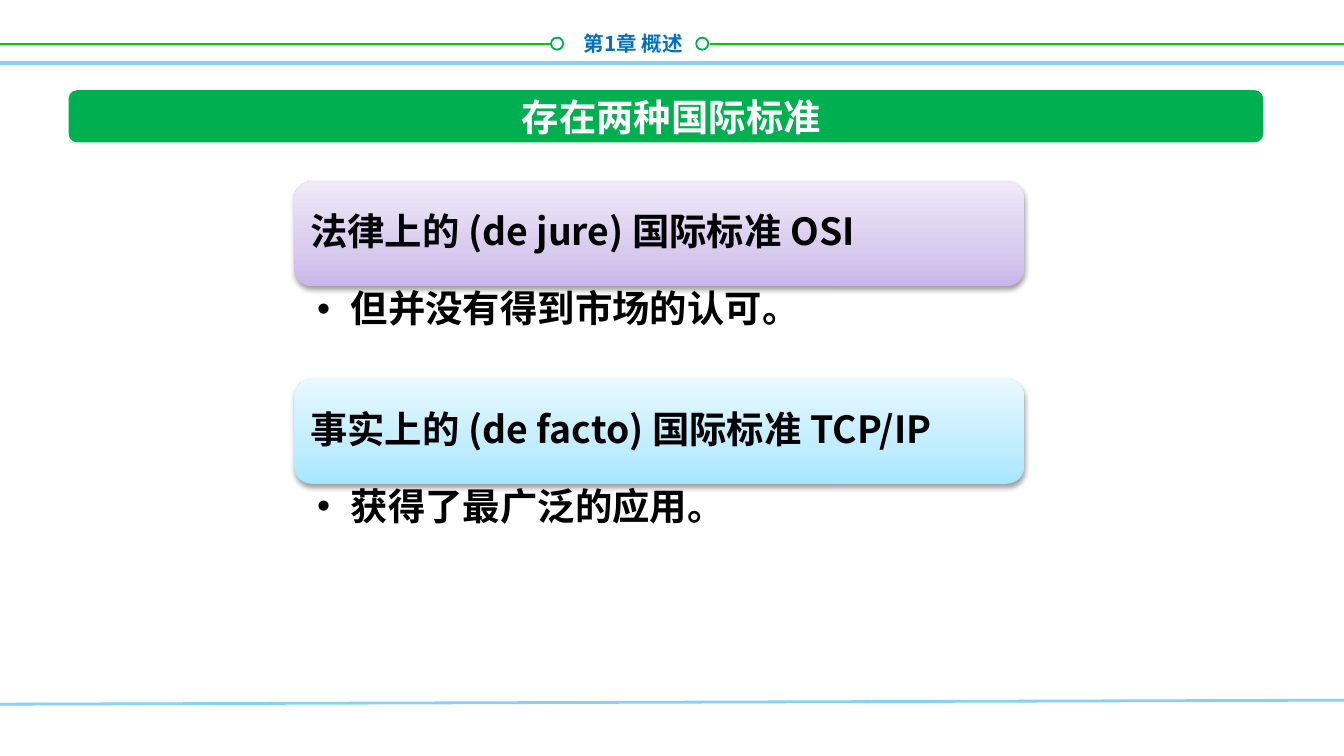
from lxml.etree import SubElement
from pptx import Presentation
from pptx.dml.color import RGBColor
from pptx.enum.shapes import MSO_CONNECTOR, MSO_SHAPE
from pptx.enum.text import MSO_ANCHOR, MSO_AUTO_SIZE, PP_ALIGN
from pptx.oxml import parse_xml
from pptx.oxml.ns import nsdecls, qn
from pptx.util import Inches, Pt

FONT = "Noto Sans CJK SC"
COLORS = {
    "white": "FFFFFF",
    "black": "000000",
    "green": "00B050",
    "bright_green": "00CC00",
    "blue": "0070C0",
    "sky": "85D1F7",
}
STANDARDS = [
    ("法律上的 (de jure) 国际标准 OSI", "但并没有得到市场的认可。",
     ("C9B5E8", "D8CBEE", "F0EAF9")),
    ("事实上的 (de facto) 国际标准 TCP/IP", "获得了最广泛的应用。",
     ("A7E6FF", "C1EDFF", "E7F8FF")),
]


def rgb(name):
    return RGBColor.from_string(COLORS[name])


def set_text(sp, text, size, color, align=PP_ALIGN.LEFT,
             anchor=MSO_ANCHOR.MIDDLE, insets=(0.1, 0.05, 0.1, 0.05), spacing=1.0):
    tf = sp.text_frame
    tf.text = text
    tf.word_wrap = True
    tf.auto_size = MSO_AUTO_SIZE.NONE
    tf.vertical_anchor = anchor
    tf.margin_left, tf.margin_top, tf.margin_right, tf.margin_bottom = map(Inches, insets)
    p = tf.paragraphs[0]
    p.alignment = align
    p.space_before = Pt(0)
    p.line_spacing = spacing
    r = p.runs[0]
    r.font.name = FONT
    r.font.size = Pt(size)
    r.font.bold = True
    r.font.color.rgb = rgb(color)
    SubElement(r.font._element, qn("a:ea")).set("typeface", FONT)
    return p


def place(sp, x, y, w, h):
    sp.left, sp.top, sp.width, sp.height = map(Inches, (x, y, w, h))


def add_rule(s, x1, y1, x2, y2, color, width):
    line = s.shapes.add_connector(MSO_CONNECTOR.STRAIGHT, *map(Inches, (x1, y1, x2, y2)))
    line.line.color.rgb = rgb(color)
    line.line.width = Pt(width)
    SubElement(line._element.spPr, qn("a:effectLst"))


def add_solid(s, kind, x, y, w, h, fill, outline=None):
    sp = s.shapes.add_shape(kind, *map(Inches, (x, y, w, h)))
    sp.shadow.inherit = False
    sp.fill.solid()
    sp.fill.fore_color.rgb = rgb(fill)
    if outline:
        sp.line.color.rgb = rgb(outline)
        sp.line.width = Pt(1)
    else:
        sp.line.fill.background()
    return sp


def add_gradient_card(s, x, y, w, h, text, shades):
    sp = s.shapes.add_shape(MSO_SHAPE.ROUNDED_RECTANGLE, *map(Inches, (x, y, w, h)))
    stops = "".join(
        f'<a:gs pos="{pos}"><a:srgbClr val="{shade}"/></a:gs>'
        for pos, shade in zip((0, 35000, 100000), shades))
    sp._element.spPr.append(parse_xml(
        f'<a:gradFill {nsdecls("a")} rotWithShape="1"><a:gsLst>{stops}</a:gsLst>'
        '<a:lin ang="16200000" scaled="0"/></a:gradFill>'))
    sp.line.fill.background()
    sp._element.spPr.append(parse_xml(
        f'<a:effectLst {nsdecls("a")}><a:outerShdw blurRad="{Pt(3.1)}" dist="{Pt(1.6)}"'
        ' dir="5400000" rotWithShape="0"><a:srgbClr val="000000">'
        '<a:alpha val="38000"/></a:srgbClr></a:outerShdw></a:effectLst>'))
    set_text(sp, text, 20, "black", insets=(0.08,) * 4, spacing=0.9)


def fill_bullet(sp, x, y, w, h, text):
    place(sp, x, y, w, h)
    p = set_text(sp, text, 20, "black", anchor=MSO_ANCHOR.TOP,
                 insets=(0.17, 0.03, 0.16, 0.03), spacing=0.9)
    pPr = p._p.get_or_add_pPr()
    pPr.set("marL", str(Inches(0.25)))
    pPr.set("indent", str(Inches(-0.25)))
    SubElement(pPr, qn("a:buFont")).set("typeface", "Arial")
    SubElement(pPr, qn("a:buChar")).set("char", "•")


def add_header(s):
    add_rule(s, 0, 0.33, 4.1, 0.33, "bright_green", 1)
    add_rule(s, 5.28, 0.33, 10, 0.33, "bright_green", 1)
    for x in (4.1, 5.18):
        add_solid(s, MSO_SHAPE.OVAL, x, 0.28, 0.09, 0.09, "white", "green")
    box = s.shapes.add_textbox(*map(Inches, (3.84, 0.18, 1.34, 0.28)))
    set_text(box, "第1章 概述", 11, "blue", PP_ALIGN.RIGHT, MSO_ANCHOR.TOP)
    add_rule(s, 0, 0.47, 10, 0.47, "sky", 2)


def add_title(s, text):
    bar = add_solid(s, MSO_SHAPE.ROUNDED_RECTANGLE, 0.51, 0.67, 8.89, 0.39, "green")
    bar.adjustments[0] = 0.17
    title = s.shapes.title
    place(title, 1.37, 0.67, 7.25, 0.39)
    set_text(title, text, 20, "white", PP_ALIGN.CENTER)
    s.shapes._spTree.append(title._element)


def main():
    prs = Presentation()
    prs.slide_width = Inches(10)
    prs.slide_height = Inches(10 * 9 / 16)
    s = prs.slides.add_slide(prs.slide_layouts[3])
    bodies = [s.placeholders[1], s.placeholders[2]]
    add_header(s)
    add_rule(s, 0, 5.24, 10, 5.21, "sky", 1.5)
    add_title(s, "存在两种国际标准")
    x, top, w, card_h, body_h = 2.19, 1.35, 5.43, 0.78, 0.69
    for i, (heading, remark, shades) in enumerate(STANDARDS):
        y = top + i * (card_h + body_h)
        add_gradient_card(s, x, y, w, card_h, heading, shades)
        fill_bullet(bodies[i], x, y + card_h, w, body_h, remark)
    prs.save("out.pptx")


if __name__ == "__main__":
    main()
